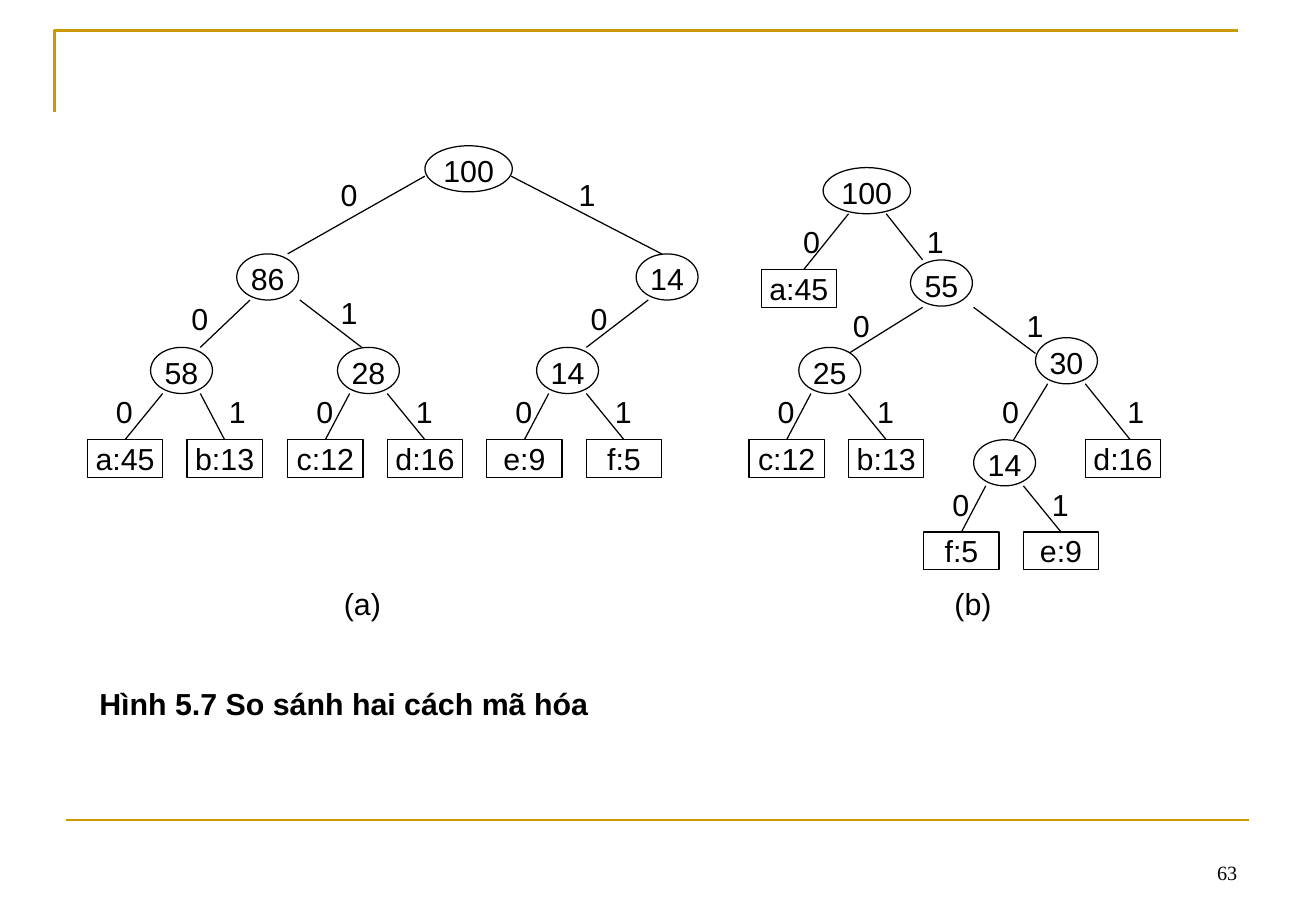
from collections import namedtuple

from lxml import etree
from pptx import Presentation
from pptx.dml.color import RGBColor
from pptx.enum.shapes import MSO_CONNECTOR, MSO_SHAPE
from pptx.enum.text import MSO_ANCHOR, PP_ALIGN
from pptx.oxml.ns import qn
from pptx.util import Pt

PX = 9144  # 100 px to the inch
BLACK = RGBColor(0x00, 0x00, 0x00)
WHITE = RGBColor(0xFF, 0xFF, 0xFF)
GOLD = RGBColor(0xCC, 0x99, 0x00)

ELLIPSE, RECT = MSO_SHAPE.OVAL, MSO_SHAPE.RECTANGLE
STRAIGHT = MSO_CONNECTOR.STRAIGHT
TOP, BOTTOM = MSO_ANCHOR.TOP, MSO_ANCHOR.BOTTOM
CENTER, RIGHT, JUSTIFY = PP_ALIGN.CENTER, PP_ALIGN.RIGHT, PP_ALIGN.JUSTIFY

NODE_H, LEAF_W, LEAF_H = 38, 62, 31
ROOT_W, NODE_W = 72, 51
LABEL_W, LABEL_H = 41, 31

# Positions are relative to the box of the tree. Branches are in bit order.
Node = namedtuple("Node", "text x y branches", defaults=[()])
Branch = namedtuple("Branch", "line label child")


def fork(text, x, y, leaves, shifts=(-41, 41), label_shifts=(10, 10)):
    """Inner node with two leaves, given as their texts."""
    bottom, leaf_y = y + NODE_H, y + 2 * NODE_H
    branches = []
    for leaf, start, shift, label_shift in zip(leaves, (10, 41), shifts, label_shifts):
        leaf_x = x + shift
        line = (x + start, bottom, leaf_x + LEAF_W // 2, leaf_y)
        branches.append(Branch(line, (leaf_x + label_shift, bottom),
                               Node(leaf, leaf_x, leaf_y)))
    return Node(text, x, y, branches)


FIXED_TREE = Node("100", 278, 0, [
    Branch((278, 25, 165, 89), (195, 25), Node("86", 123, 89, [
        Branch((134, 127, 93, 166), (72, 127),
               fork("58", 52, 166, ("a:45", "b:13"), (-52, 30), (10, 21))),
        Branch((175, 127, 226, 166), (195, 122),
               fork("28", 206, 166, ("c:12", "d:16"))),
    ])),
    Branch((349, 25, 473, 89), (391, 25), Node("14", 452, 89, [
        Branch((462, 127, 411, 166), (401, 127),
               fork("14", 370, 166, ("e:9", "f:5"))),
    ])),
])

HUFFMAN_TREE = Node("100", 61, 0, [
    Branch((82, 38, 41, 89), (31, 46), Node("a:45", 10, 84)),
    Branch((113, 38, 143, 76), (133, 46), Node("55", 133, 76, [
        Branch((143, 115, 82, 153), (72, 115),
               fork("25", 41, 148, ("c:12", "b:13"))),
        Branch((185, 115, 236, 153), (215, 115), Node("30", 236, 140, [
            Branch((246, 178, 215, 229), (195, 186),
                   fork("14", 185, 224, ("f:5", "e:9"))),
            Branch((277, 178, 318, 229), (298, 186), Node("d:16", 277, 224)),
        ])),
    ])),
])


def set_text(sp, text, align=CENTER, anchor=TOP, size=18, font="Arial",
             bold=False, inset=(0, 0)):
    tf = sp.text_frame
    tf.word_wrap = True
    tf.vertical_anchor = anchor
    tf.margin_left = tf.margin_right = inset[0] * PX
    tf.margin_top = tf.margin_bottom = inset[1] * PX
    p = tf.paragraphs[0]
    p.text = text
    p.alignment = align
    p.font.size = Pt(size)
    p.font.name = font
    p.font.bold = bold
    p.font.color.rgb = BLACK


def add_text(shapes, box, text, **style):
    sp = shapes.add_textbox(*(v * PX for v in box))
    set_text(sp, text, **style)


def add_line(shapes, ends, color=BLACK, width=0.75):
    line = shapes.add_connector(STRAIGHT, *(v * PX for v in ends))
    line.line.color.rgb = color
    line.line.width = Pt(width)
    etree.SubElement(line._element.spPr, qn("a:effectLst"))


def add_node(shapes, left, top, node):
    """Draw the branches below a node first, then the node over their ends."""
    for bit, branch in enumerate(node.branches):
        x1, y1, x2, y2 = branch.line
        add_line(shapes, (left + x1, top + y1, left + x2, top + y2))
        label_x, label_y = branch.label
        add_text(shapes, (left + label_x, top + label_y, LABEL_W, LABEL_H), str(bit))
        add_node(shapes, left, top, branch.child)

    if node.branches:
        kind, height = ELLIPSE, NODE_H
        width = ROOT_W if len(node.text) > 2 else NODE_W
    else:
        kind, width, height = RECT, LEAF_W, LEAF_H
    box = (left + node.x, top + node.y, width, height)
    sp = shapes.add_shape(kind, *(v * PX for v in box))
    sp.shadow.inherit = False
    sp.fill.solid()
    sp.fill.fore_color.rgb = WHITE
    sp.line.color.rgb = BLACK
    sp.line.width = Pt(0.75)
    set_text(sp, node.text)


def add_tree(slide, left, top, root, caption, caption_x, caption_y):
    shapes = slide.shapes.add_group_shape().shapes
    add_node(shapes, left, top, root)
    add_text(shapes, (left + caption_x, top + caption_y, LABEL_W, LABEL_H), caption)


def add_frame(slide, left, top, width, height):
    """Gold corner at the top, gold rule and page number at the bottom."""
    corner = slide.shapes.build_freeform(left, top + 67, scale=PX)
    corner.add_line_segments([(left, top), (left + width, top)], close=False)
    sp = corner.convert_to_shape()
    sp.shadow.inherit = False
    sp.fill.background()
    sp.line.color.rgb = GOLD
    sp.line.width = Pt(1.5)

    rule_x, rule_y = left + 9, top + height
    add_line(slide.shapes, (rule_x, rule_y, rule_x + width, rule_y), GOLD, 1.5)
    add_text(slide.shapes, (rule_x + width - 253, rule_y + 8, 253, 50), "63",
             align=RIGHT, anchor=BOTTOM, size=12, font="Times New Roman",
             inset=(10, 5))


def main():
    prs = Presentation()
    prs.slide_width, prs.slide_height = 1084 * PX, 750 * PX
    slide = prs.slides.add_slide(prs.slide_layouts[6])
    add_frame(slide, 45, 25, 975, 650)
    add_tree(slide, 72, 120, FIXED_TREE, "(a)", 206, 362)
    add_tree(slide, 617, 138, HUFFMAN_TREE, "(b)", 164, 344)
    add_text(slide.shapes, (72, 559, 894, 191), "Hình 5.7 So sánh hai cách mã hóa",
             align=JUSTIFY, bold=True, inset=(10, 5))
    prs.save("out.pptx")


if __name__ == "__main__":
    main()
